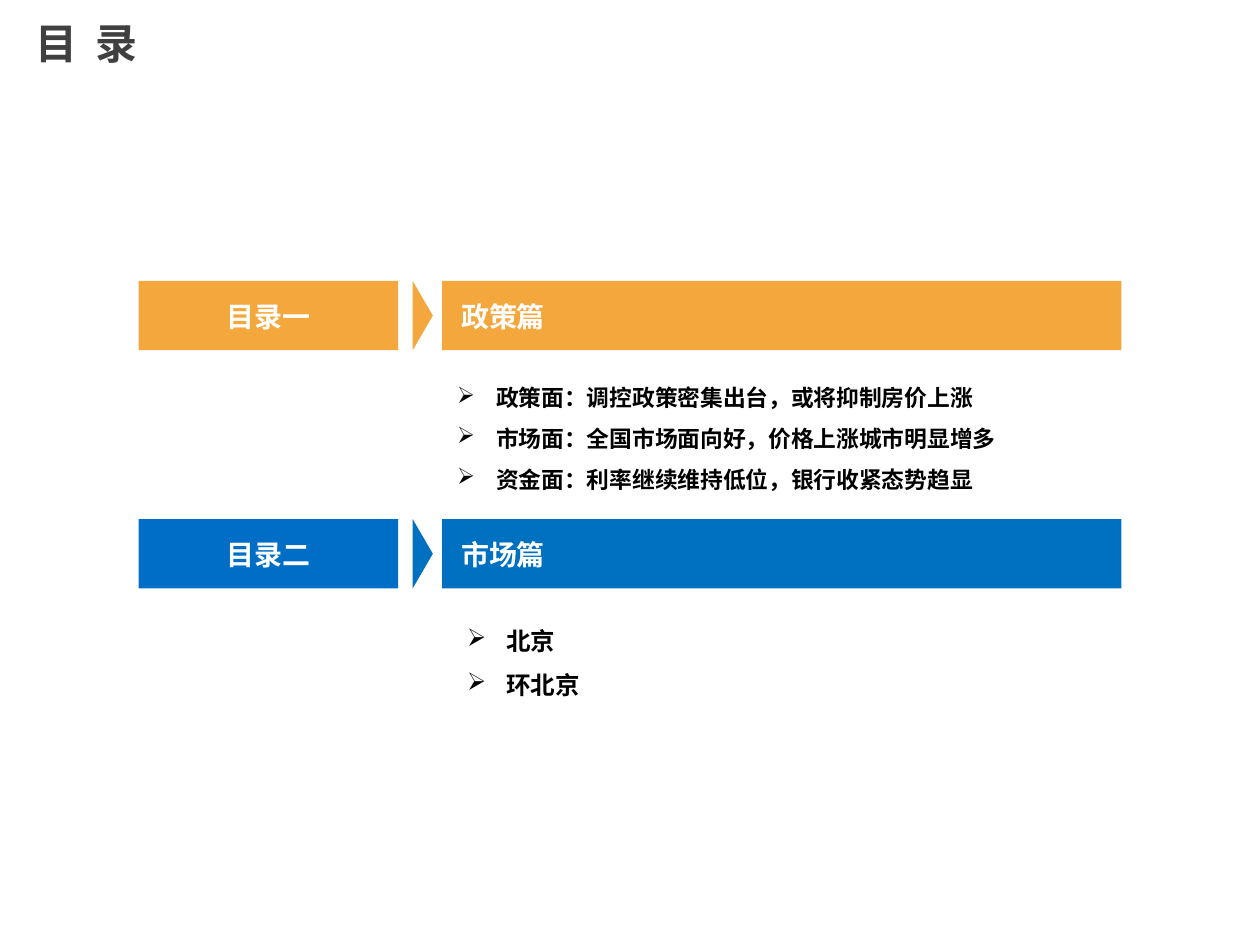
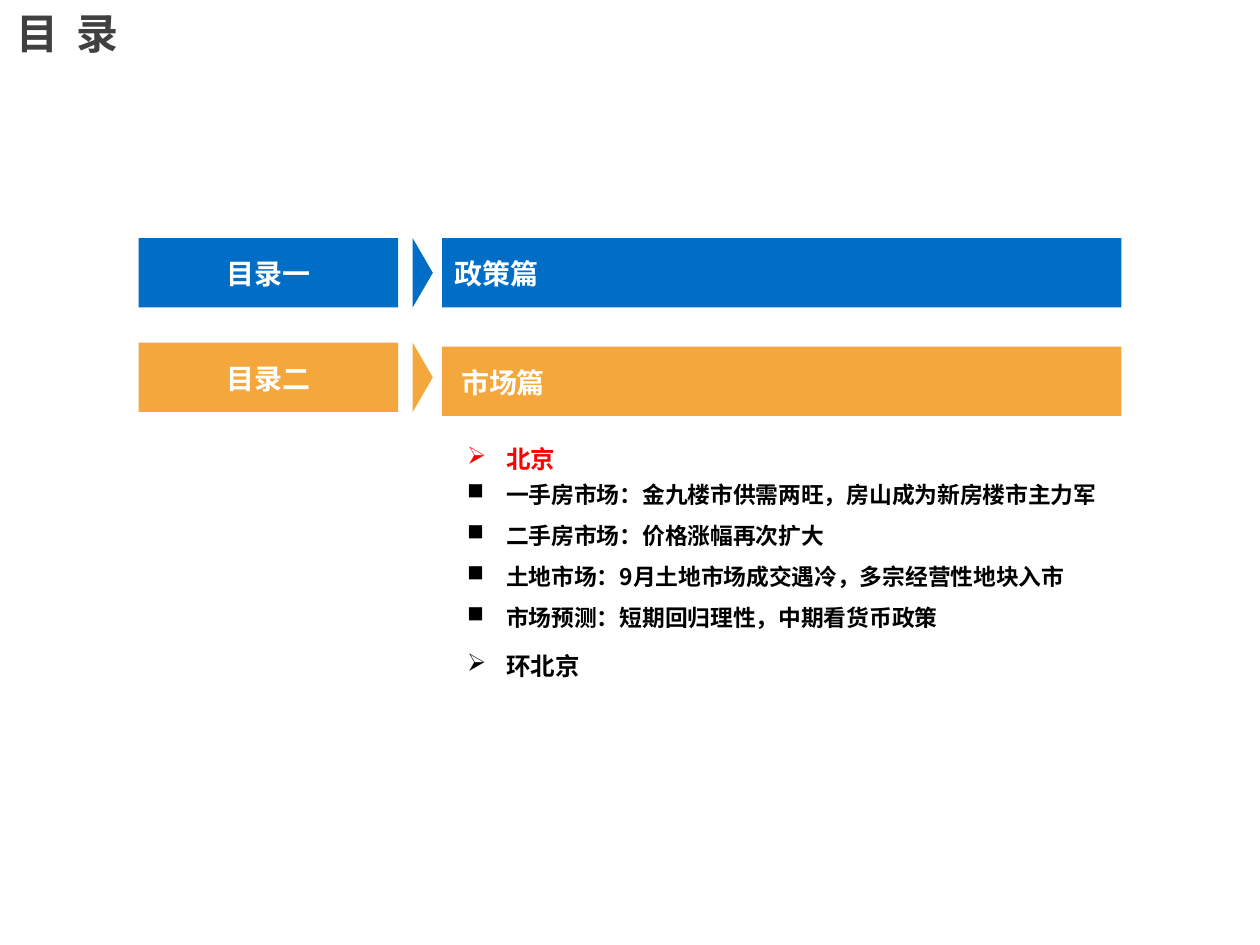
from lxml.etree import SubElement
from pptx import Presentation
from pptx.dml.color import RGBColor
from pptx.enum.shapes import MSO_SHAPE
from pptx.enum.text import MSO_ANCHOR, MSO_AUTO_SIZE, PP_ALIGN
from pptx.oxml.ns import qn
from pptx.util import Inches, Pt

FONT = "Noto Sans CJK SC"
COLORS = {"active": "F4A73C", "blue": "006EC7", "bar_blue": "0070C0",
          "title": "404040", "text": "000000", "white": "FFFFFF", "red": "FF0000"}
COLS, ROWS = 100, 75

# Columns and sizes shared by both agenda slides
LABEL_X, LABEL_W = 11, 20.6
BAR_X, BAR_W = 35.1, 53.9
BAND_H = 5.5
ARROW_MID, ARROW_W = 33.55, 1.6
LIST_X, LIST_W = 36.1, 61.1
ARROW, SQUARE = "➢", "■"


def write(p, text, size=16, color="white", align=PP_ALIGN.LEFT,
          leading=None, bullet=None, spacing=None):
    """Fill a paragraph with one bold run."""
    p.alignment = align
    if leading:
        p.line_spacing = leading
    if bullet:
        pPr = p._p.get_or_add_pPr()
        indent = Inches(0.31)
        pPr.set("marL", str(indent))
        pPr.set("indent", str(-indent))
        SubElement(pPr, qn("a:buChar"), char=bullet)
    r = p.add_run()
    r.text = text
    r.font.size, r.font.bold, r.font.name = Pt(size), True, FONT
    r.font.color.rgb = RGBColor.from_string(COLORS[color])
    rPr = r._r.get_or_add_rPr()
    SubElement(rPr, qn("a:ea"), typeface=FONT)
    if spacing:
        rPr.set("spc", str(spacing))


class Agenda:
    def __init__(self, prs):
        self.prs = prs
        self.s = None

    def box(self, x, y, w, h):
        cw, rh = self.prs.slide_width / COLS, self.prs.slide_height / ROWS
        return [round(v) for v in (x * cw, y * rh, w * cw, h * rh)]

    def new_slide(self):
        self.s = self.prs.slides.add_slide(self.prs.slide_layouts[6])

    def title(self, text, x, y):
        tf = self.s.shapes.add_textbox(*self.box(x, y, 59.7, 5.2)).text_frame
        tf.word_wrap = True
        tf.vertical_anchor = MSO_ANCHOR.MIDDLE
        write(tf.paragraphs[0], text, size=24, color="title", spacing=270)

    def shape(self, kind, x, y, w, h, color):
        sp = self.s.shapes.add_shape(kind, *self.box(x, y, w, h))
        sp.shadow.inherit = False
        sp.fill.solid()
        sp.fill.fore_color.rgb = RGBColor.from_string(COLORS[color])
        sp.line.fill.background()
        return sp

    def band(self, text, x, y, w, color, inset=0, align=PP_ALIGN.LEFT):
        sp = self.shape(MSO_SHAPE.RECTANGLE, x, y, w, BAND_H, color)
        tf = sp.text_frame
        tf.word_wrap = True
        tf.vertical_anchor = MSO_ANCHOR.MIDDLE
        tf.margin_left = Inches(inset)
        tf.margin_right = tf.margin_top = tf.margin_bottom = 0
        write(tf.paragraphs[0], text, align=align, leading=Pt(20))

    def chapter(self, label, name, y, color, bar_color=None, bar_y=None, inset=0.15):
        """Label, pointer and bar of one chapter."""
        bar_color = bar_color or color
        self.band(name, BAR_X, y if bar_y is None else bar_y, BAR_W, bar_color, inset)
        pointer = self.shape(MSO_SHAPE.ISOSCELES_TRIANGLE, ARROW_MID - BAND_H / 2,
                             y + (BAND_H - ARROW_W) / 2, BAND_H, ARROW_W, bar_color)
        pointer.rotation = 90
        self.band(label, LABEL_X, y, LABEL_W, color, align=PP_ALIGN.CENTER)

    def bullets(self, items, y, h, x=LIST_X, w=LIST_W, bullet=ARROW,
                size=13, color="text", wrap=True):
        tf = self.s.shapes.add_textbox(*self.box(x, y, w, h)).text_frame
        tf.word_wrap = wrap
        tf.auto_size = MSO_AUTO_SIZE.SHAPE_TO_FIT_TEXT
        for i, item in enumerate(items):
            p = tf.add_paragraph() if i else tf.paragraphs[0]
            write(p, item, size=size, color=color, leading=1.5, bullet=bullet)

    def cities(self, names, y, h, w=11.1, color="text"):
        self.bullets(names, y, h, w=w, size=14, color=color, wrap=False)


def main():
    prs = Presentation()
    prs.slide_width, prs.slide_height = Inches(10), Inches(7.5)
    a = Agenda(prs)

    # Slide 1: policy chapter is current
    a.new_slide()
    a.title("目 录", 1.8, 0.8)
    a.chapter("目录一", "政策篇", 22.3, "active")
    a.chapter("目录二", "市场篇", 41.2, "blue", bar_color="bar_blue")
    a.bullets(["政策面：调控政策密集出台，或将抑制房价上涨",
               "市场面：全国市场面向好，价格上涨城市明显增多",
               "资金面：利率继续维持低位，银行收紧态势趋显"], 28.9, 10.9, x=35.3)
    a.cities(["北京", "环北京"], 48, 8.1)

    # Slide 2: market chapter is current
    a.new_slide()
    a.title("目 录", 0.3, 0)
    a.chapter("目录一", "政策篇", 18.9, "blue", inset=0.1)
    a.chapter("目录二", "市场篇", 27.2, "active", bar_y=27.5)
    a.bullets(["一手房市场：金九楼市供需两旺，房山成为新房楼市主力军",
               "二手房市场：价格涨幅再次扩大",
               "土地市场：9月土地市场成交遇冷，多宗经营性地块入市",
               "市场预测：短期回归理性，中期看货币政策"], 36.6, 14.1, bullet=SQUARE)
    a.cities(["北京"], 33.6, 4.1, w=9.1, color="red")
    a.cities(["环北京"], 50, 4.1)

    prs.save("out.pptx")


if __name__ == "__main__":
    main()
